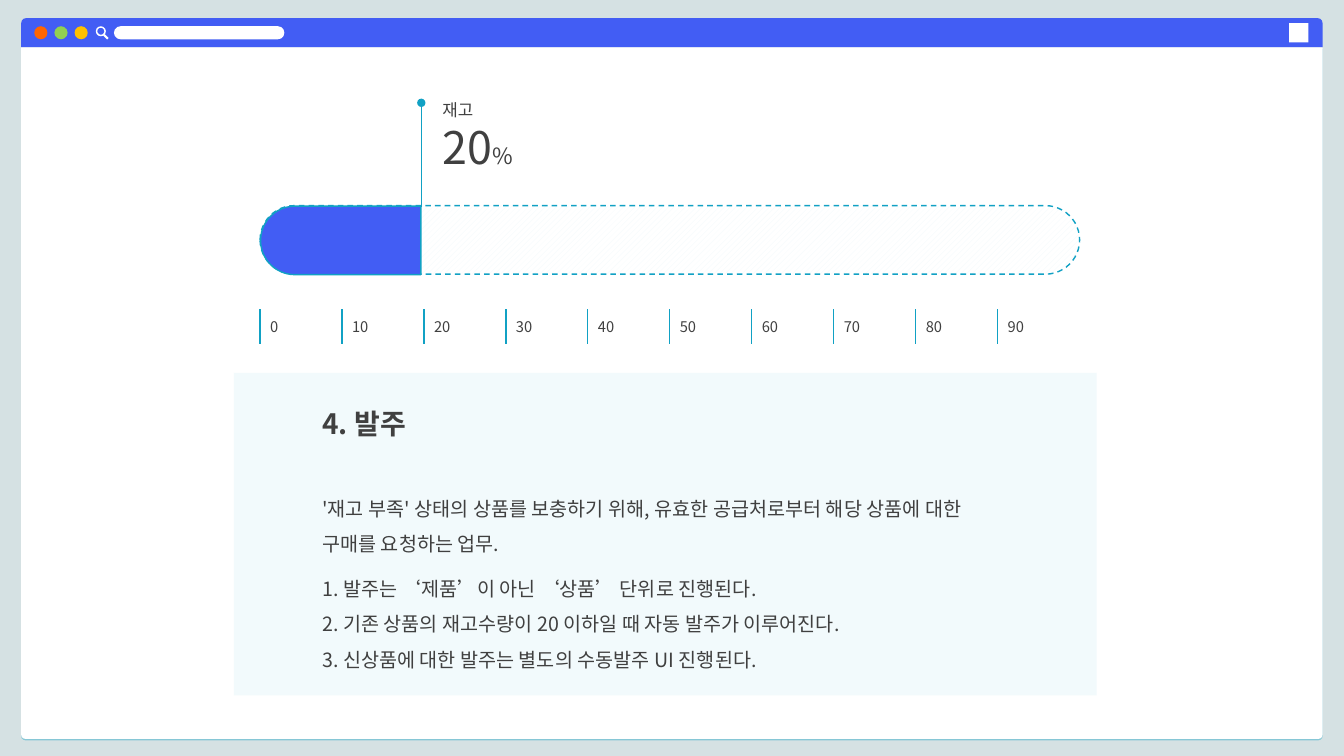
from dataclasses import dataclass
from typing import Optional

from lxml.etree import SubElement
from pptx import Presentation
from pptx.dml.color import RGBColor
from pptx.enum.dml import MSO_LINE, MSO_PATTERN
from pptx.enum.shapes import MSO_CONNECTOR, MSO_SHAPE
from pptx.enum.text import MSO_ANCHOR, MSO_AUTO_SIZE
from pptx.oxml.ns import qn
from pptx.util import Inches, Pt

FONT = "Noto Sans CJK KR"
COLOURS = {
    "backdrop": "D5E1E3", "brand": "425DF4", "page": "FFFFFF", "panel": "F2FAFC",
    "accent": "11A1C4", "text": "404040",
    "red": "FF6600", "green": "92D050", "yellow": "FFC000",
}
NO_TABLE_STYLE = "{2D5ABB26-0587-4C30-8999-92F81FD0307C}"
SLIDE_WIDTH, SLIDE_HEIGHT = Inches(13.333), Inches(7.5)


@dataclass
class Box:
    """Place and size in percent of the slide's width and height."""
    left: float
    top: float
    width: float
    height: float

    def emu(self) -> tuple:
        return (across(self.left), down(self.top), across(self.width), down(self.height))


@dataclass
class Block:
    kind: MSO_SHAPE
    box: Box
    fill: str
    adjustments: tuple = ()
    outline: Optional[str] = None
    rotation: int = 0


@dataclass
class Segment:
    text: str
    size: float
    bold: bool = False


@dataclass
class Line:
    segments: list
    spacing: float = 1.5
    before: float = 0


def across(percent: float) -> int:
    return round(SLIDE_WIDTH * percent / 100)


def down(percent: float) -> int:
    return round(SLIDE_HEIGHT * percent / 100)


def colour(name: str) -> RGBColor:
    return RGBColor.from_string(COLOURS[name])


def style_run(run, size: float, bold: bool = False) -> None:
    run.font.name, run.font.size, run.font.bold = FONT, Pt(size), bold
    run.font.color.rgb = colour("text")
    SubElement(run.font._element, qn("a:ea"), typeface=FONT)


def draw_block(slide, block: Block):
    shape = slide.shapes.add_shape(block.kind, *block.box.emu())
    shape.shadow.inherit = False
    shape.rotation = block.rotation
    for index, value in enumerate(block.adjustments):
        shape.adjustments[index] = value
    shape.fill.solid()
    shape.fill.fore_color.rgb = colour(block.fill)
    if block.outline:
        shape.line.color.rgb = colour(block.outline)
        shape.line.width = Pt(1)
    else:
        shape.line.fill.background()
    return shape


def draw_line(slide, start: tuple, end: tuple, name: str, width: float):
    line = slide.shapes.add_connector(
        MSO_CONNECTOR.STRAIGHT, across(start[0]), down(start[1]), across(end[0]), down(end[1]))
    line.line.color.rgb = colour(name)
    line.line.width = Pt(width)
    SubElement(line._element.spPr, qn("a:effectLst"))
    return line


def draw_text(slide, box: Box, lines: list) -> None:
    frame = slide.shapes.add_textbox(*box.emu()).text_frame
    frame.word_wrap = True
    frame.auto_size = MSO_AUTO_SIZE.SHAPE_TO_FIT_TEXT
    for index, line in enumerate(lines):
        paragraph = frame.add_paragraph() if index else frame.paragraphs[0]
        paragraph.line_spacing = line.spacing
        paragraph.space_before = Pt(line.before)
        for segment in line.segments:
            run = paragraph.add_run()
            run.text = segment.text
            style_run(run, segment.size, segment.bold)


def add_page_shadow(page) -> None:
    """Give the page a sharp accent edge one point below it."""
    effects = page._element.spPr.find(qn("a:effectLst"))
    shadow = SubElement(effects, qn("a:outerShdw"), blurRad="0", dist=str(Pt(1)),
                        dir="5400000", algn="t", rotWithShape="0")
    tint = SubElement(shadow, qn("a:srgbClr"), val=COLOURS["accent"])
    SubElement(tint, qn("a:alpha"), val="40000")


def add_border(cell, side: str) -> None:
    properties = cell._tc.get_or_add_tcPr()
    border = properties.makeelement(qn(f"a:{side}"), {"w": str(Pt(1))})
    fill = SubElement(border, qn("a:solidFill"))
    SubElement(fill, qn("a:srgbClr"), val=COLOURS["accent"])
    properties.insert(("lnL", "lnR").index(side), border)


def draw_scale(slide, box: Box, steps: int) -> None:
    table = slide.shapes.add_table(1, steps, *box.emu()).table
    table.first_row = table.horz_banding = False
    table._tbl.tblPr.find(qn("a:tableStyleId")).text = NO_TABLE_STYLE
    for index, cell in enumerate(table.iter_cells()):
        table.columns[index].width = across(box.width / steps)
        cell.text_frame.text = str(index * 10)
        cell.vertical_anchor = MSO_ANCHOR.MIDDLE
        cell.fill.background()
        style_run(cell.text_frame.paragraphs[0].runs[0], 10.5)
        add_border(cell, "lnL")
        if index < steps - 1:
            add_border(cell, "lnR")


def draw_browser(slide) -> None:
    draw_block(slide, Block(MSO_SHAPE.ROUND_2_SAME_RECTANGLE, Box(1.58, 2.4, 96.83, 3.87), "brand"))
    page = draw_block(slide, Block(MSO_SHAPE.ROUND_2_SAME_RECTANGLE,
                                   Box(1.58, 6.27, 96.83, 91.47), "page", (0, 0.006)))
    add_page_shadow(page)
    for index, name in enumerate(("red", "green", "yellow")):
        draw_block(slide, Block(MSO_SHAPE.OVAL, Box(2.55 + 1.5 * index, 3.47, 0.98, 1.73), name))
    toolbar = (
        Block(MSO_SHAPE.RECTANGLE, Box(95.93, 3.07, 1.43, 2.53), "page"),
        Block(MSO_SHAPE.ROUNDED_RECTANGLE, Box(8.48, 3.47, 12.68, 1.73), "page", (0.5,)),
        Block(MSO_SHAPE.DONUT, Box(7.13, 3.47, 0.75, 1.33), "page", (0.15,)),
    )
    for block in toolbar:
        draw_block(slide, block)
    draw_line(slide, (7.73, 4.6), (8.03, 5.13), "page", 1.5)


def draw_gauge(slide) -> None:
    track = draw_block(slide, Block(MSO_SHAPE.ROUNDED_RECTANGLE, Box(19.35, 27.2, 60.98, 9.07),
                                    "page", (0.5,), "accent"))
    track.fill.patterned()
    track.fill.pattern = MSO_PATTERN.WIDE_UPWARD_DIAGONAL
    track.fill.fore_color.rgb = colour("panel")
    track.fill.back_color.rgb = colour("page")
    track.line.dash_style = MSO_LINE.DASH
    draw_block(slide, Block(MSO_SHAPE.ROUND_2_SAME_RECTANGLE, Box(22.8, 21.2, 5.1, 21.2),
                            "brand", (0.5, 0), "accent", 270))
    pin = draw_line(slide, (31.35, 27.33), (31.35, 13.6), "accent", 1)
    SubElement(pin.line._get_or_add_ln(), qn("a:tailEnd"), type="oval")
    draw_scale(slide, Box(19.35, 40.93, 60.98, 4.53), 10)
    draw_text(slide, Box(32.18, 11.2, 14.4, 12.53), [
        Line([Segment("재고", 12)]),
        Line([Segment("20", 32), Segment("%", 16)], spacing=1),
    ])


def draw_order_notes(slide) -> None:
    rules = (
        "1. 발주는 ‘제품’이 아닌 ‘상품’ 단위로 진행된다.",
        "2. 기존 상품의 재고수량이 20 이하일 때 자동 발주가 이루어진다.",
        "3. 신상품에 대한 발주는 별도의 수동발주 UI 진행된다.",
    )
    summary = "'재고 부족' 상태의 상품를 보충하기 위해, 유효한 공급처로부터 해당 상품에 대한 구매를 요청하는 업무."
    draw_text(slide, Box(23.25, 74.13, 58.35, 19.6), [Line([Segment(rule, 14)]) for rule in rules])
    draw_text(slide, Box(23.25, 50.93, 50.33, 22.93), [
        Line([Segment("4. 발주", 20, True)]),
        Line([Segment(summary, 14)], before=32),
    ])


def main() -> None:
    deck = Presentation()
    deck.slide_width, deck.slide_height = SLIDE_WIDTH, SLIDE_HEIGHT
    slide = deck.slides.add_slide(deck.slide_layouts[6])
    slide.background.fill.solid()
    slide.background.fill.fore_color.rgb = colour("backdrop")
    draw_browser(slide)
    draw_block(slide, Block(MSO_SHAPE.RECTANGLE, Box(17.4, 49.33, 64.2, 42.67), "panel"))
    draw_gauge(slide)
    draw_order_notes(slide)
    deck.save("out.pptx")


if __name__ == "__main__":
    main()
